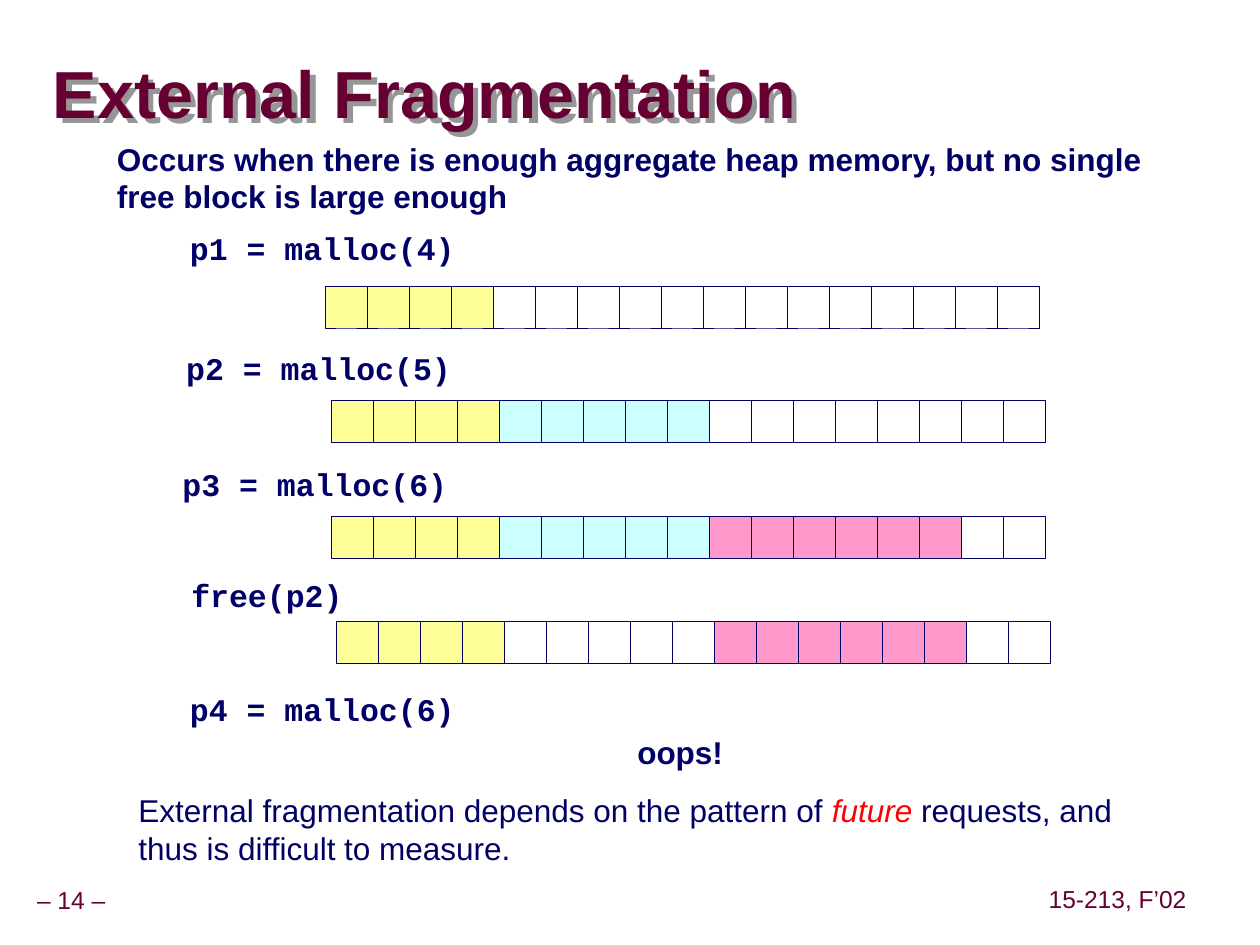
from dataclasses import dataclass

import lxml.etree
import pptx
import pptx.dml.color
import pptx.enum.shapes
import pptx.enum.text
import pptx.oxml
import pptx.oxml.ns
import pptx.util

Inches = pptx.util.Inches
Align = pptx.enum.text.PP_ALIGN
Anchor = pptx.enum.text.MSO_ANCHOR

COLORS = {
    "maroon": "660033",
    "navy": "000066",
    "red": "FF0000",
    "shadow": "969696",
    "p1": "FFFF99",
    "p2": "CCFFFF",
    "p3": "FF99CC",
    "free": "FFFFFF",
}
CELL = 1 / 3
HEAP_SIZE = 17


@dataclass(frozen=True)
class Box:
    left: float
    top: float
    width: float
    height: float


@dataclass(frozen=True)
class Heap:
    left: float
    top: float
    blocks: tuple[tuple[str, int], ...]


@dataclass(frozen=True)
class Call:
    code: str
    box: Box


HEAPS = (
    Heap(2.58, 2.27, (("p1", 4),)),
    Heap(2.63, 3.18, (("p1", 4), ("p2", 5))),
    Heap(2.63, 4.1, (("p1", 4), ("p2", 5), ("p3", 6))),
    Heap(2.67, 4.93, (("p1", 4), ("free", 5), ("p3", 6))),
)
CALLS = (
    Call("p1 = malloc(4)", Box(1.41, 1.77, 2.3, 0.4)),
    Call("p2 = malloc(5)", Box(1.38, 2.72, 2.3, 0.4)),
    Call("p3 = malloc(6)", Box(1.35, 3.64, 2.3, 0.4)),
    Call("free(p2)", Box(1.42, 4.52, 1.4, 0.4)),
    Call("p4 = malloc(6)", Box(1.41, 5.43, 2.3, 0.4)),
)


def rgb(color: str) -> pptx.dml.color.RGBColor:
    return pptx.dml.color.RGBColor.from_string(COLORS[color])


def place(shape, box: Box) -> None:
    shape.left, shape.top = Inches(box.left), Inches(box.top)
    shape.width, shape.height = Inches(box.width), Inches(box.height)


def write(shape, text: str, *, font: str = "Arial", size: float = 18,
          color: str = "navy", bold: bool = False, emphasis: str = "",
          align=Align.LEFT, anchor=Anchor.TOP, spacing: float = 1.0,
          margins: tuple[float, float] = (0.1, 0.05), wrap: bool = False) -> None:
    frame = shape.text_frame
    frame.word_wrap = wrap
    frame.auto_size = pptx.enum.text.MSO_AUTO_SIZE.NONE
    frame.vertical_anchor = anchor
    frame.margin_left = frame.margin_right = Inches(margins[0])
    frame.margin_top = frame.margin_bottom = Inches(margins[1])
    for index, line in enumerate(text.split("\n")):
        paragraph = frame.add_paragraph() if index else frame.paragraphs[0]
        paragraph.alignment = align
        paragraph.line_spacing = spacing
        before, stressed, after = line.partition(emphasis) if emphasis else (line, "", "")
        for part, is_stressed in ((before, False), (stressed, True), (after, False)):
            if part:
                run = paragraph.add_run()
                run.text = part
                run.font.name = font
                run.font.size = pptx.util.Pt(size)
                run.font.bold = bold
                run.font.italic = is_stressed
                run.font.color.rgb = rgb("red" if is_stressed else color)


def add_text(slide, box: Box, text: str, **style) -> None:
    textbox = slide.shapes.add_textbox(0, 0, 0, 0)
    place(textbox, box)
    write(textbox, text, **style)


def add_footer(slide, box: Box, text: str) -> None:
    add_text(slide, box, text, size=14, color="maroon", align=Align.CENTER,
             anchor=Anchor.MIDDLE, spacing=0.9, margins=(0.05, 0.05))


def add_title(slide, text: str) -> None:
    title = slide.shapes.title
    place(title, Box(0.42, 0.46, 7.38, 0.63))
    write(title, text, size=38, color="maroon", bold=True, anchor=Anchor.MIDDLE,
          spacing=0.87, margins=(0, 0), wrap=True)
    effects = pptx.oxml.parse_xml(
        f'<a:effectLst {pptx.oxml.ns.nsdecls("a")}>'
        f'<a:outerShdw dist="{Inches(0.06)}" dir="2700000" algn="ctr" rotWithShape="0">'
        f'<a:srgbClr val="{COLORS["shadow"]}"/></a:outerShdw></a:effectLst>'
    )
    title.fill.background()
    title._element.spPr.append(effects)


def add_heap(slide, heap: Heap) -> None:
    cells = [owner for owner, words in heap.blocks for _ in range(words)]
    cells += ["free"] * (HEAP_SIZE - len(cells))
    for index, owner in enumerate(cells):
        word = slide.shapes.add_shape(pptx.enum.shapes.MSO_SHAPE.RECTANGLE, 0, 0, 0, 0)
        place(word, Box(heap.left + index * CELL, heap.top, CELL, CELL))
        word.shadow.inherit = False
        word.fill.solid()
        word.fill.fore_color.rgb = rgb(owner)
        word.line.color.rgb = rgb("navy")
        word.line.width = pptx.util.Pt(0.25)


def main() -> None:
    deck = pptx.Presentation()
    deck.slide_width, deck.slide_height = Inches(10), Inches(7.5)
    slide = deck.slides.add_slide(deck.slide_layouts.get_by_name("Title Only"))

    add_footer(slide, Box(-0.09, 7, 1.31, 0.31), "– 14 –")
    add_footer(slide, Box(8.27, 6.99, 1.2, 0.31), "15-213, F’02")
    add_title(slide, "External Fragmentation")
    for heap in HEAPS:
        add_heap(slide, heap)
    for call in CALLS:
        add_text(slide, call.box, call.code, font="Courier New", bold=True)
    add_text(slide, Box(4.96, 5.77, 0.88, 0.4), "oops!", bold=True)
    add_text(slide, Box(0.83, 1.06, 8.35, 0.7),
             "Occurs when there is enough aggregate heap memory, but no single\n"
             "free block is large enough", bold=True)
    add_text(slide, Box(1, 6.23, 7.92, 0.7),
             "External fragmentation depends on the pattern of future requests, and\n"
             "thus is difficult to measure.", emphasis="future")
    deck.save("out.pptx")


if __name__ == "__main__":
    main()
